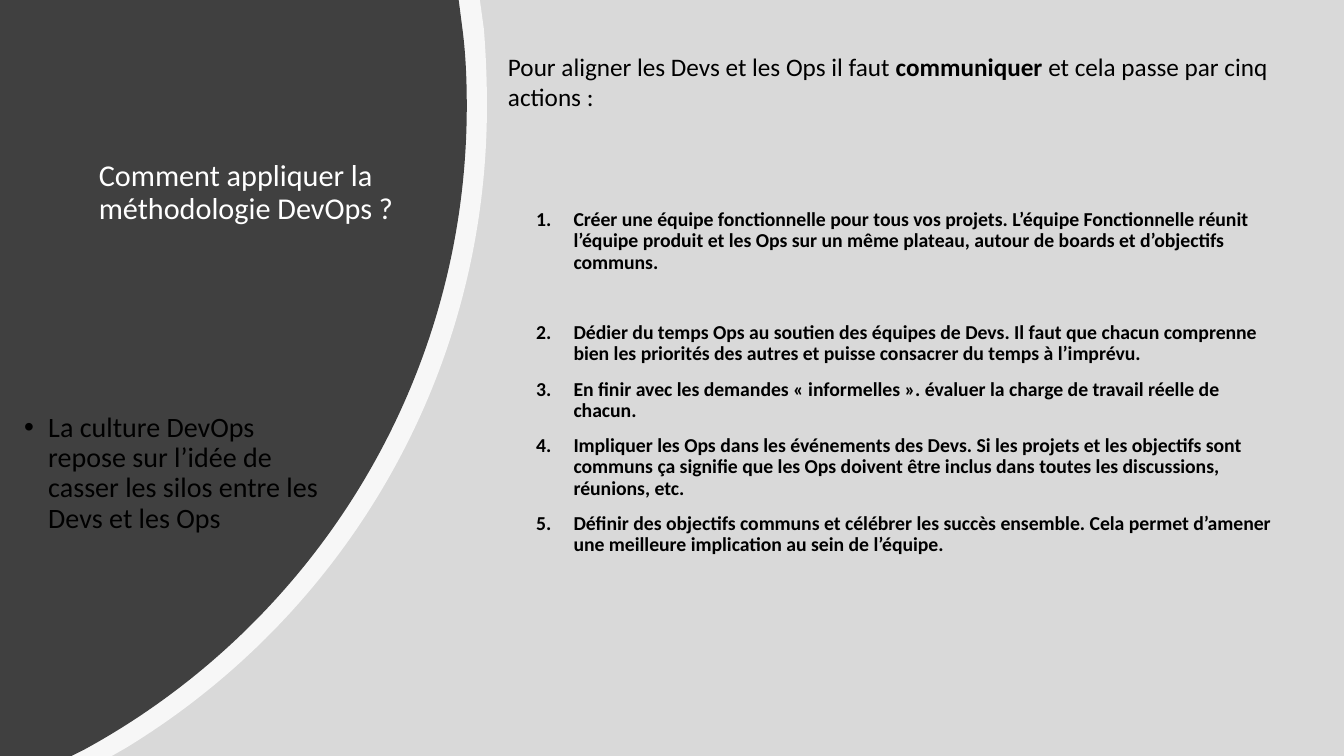
from pptx import Presentation
from pptx.dml.color import RGBColor
from pptx.enum.shapes import MSO_SHAPE as Shape
from pptx.enum.text import MSO_ANCHOR as Anchor, MSO_AUTO_SIZE as Fit, PP_ALIGN as Align
from pptx.oxml.ns import qn
from pptx.util import Inches, Pt
from lxml.etree import SubElement

WHITE = RGBColor(0xFF, 0xFF, 0xFF)
BLACK = RGBColor(0, 0, 0)
GREY = RGBColor(0xD9, 0xD9, 0xD9)
DARK = RGBColor(0x40, 0x40, 0x40)
FONT = "Calibri"
WIDE, HIGH = 13.33, 7.5

TITLE = "Comment appliquer la méthodologie DevOps ?"
CULTURE = "La culture DevOps repose sur l’idée de casser les silos entre les Devs et les Ops"
INTRO = [
    ("Pour aligner les Devs et les Ops il faut\u00a0", False),
    ("communiquer\u00a0", True),
    ("et cela passe par cinq actions :", False),
]
# Text and space before, in points
ACTIONS = [
    ("Créer une équipe fonctionnelle pour tous vos projets. L’équipe Fonctionnelle réunit "
     "l’équipe produit et les Ops sur un même plateau, autour de boards et d’objectifs communs.", 0),
    ("Dédier du temps Ops au soutien des équipes de Devs. Il faut que chacun comprenne bien "
     "les priorités des autres et puisse consacrer du temps à l’imprévu.", 35),
    ("En finir avec les demandes «\u00a0informelles\u00a0». évaluer la charge de travail "
     "réelle de chacun.", 10),
    ("Impliquer les Ops dans les événements des Devs. Si les projets et les objectifs sont "
     "communs ça signifie que les Ops doivent être inclus dans toutes les discussions, "
     "réunions, etc.", 10),
    ("Définir des objectifs communs et célébrer les succès ensemble. Cela permet d’amener "
     "une meilleure implication au sein de l’équipe.", 10),
]
# Right edge of each panel: two straight points, two curves (controls, end), the foot
RIM = [(4.76, 0), (4.8, 0.29),
       (4.82, 0.54), (4.83, 0.8), (4.83, 1.05),
       (4.83, 3.75), (3.4, 6.11), (1.25, 7.42), (1.11, HIGH)]
PANEL = [(4.55, 0), (4.59, 0.31),
         (4.62, 0.55), (4.63, 0.8), (4.63, 1.05),
         (4.63, 3.81), (3.09, 6.21), (0.83, 7.44), (0.71, HIGH)]
CURVES = slice(2, 8)


def paint(shape, color):
    shape.shadow.inherit = False
    shape.fill.solid()
    shape.fill.fore_color.rgb = color
    shape.line.fill.background()


def add_panel(shapes, edge, color):
    """Draw the outline with straight lines, then bend the curved part."""
    pen = shapes.build_freeform(0, 0, scale=1.0)
    points = [(Inches(x), Inches(y)) for x, y in edge + [(0, HIGH)]]
    pen.add_line_segments(points, close=True)
    panel = pen.convert_to_shape()
    lines = list(panel._element.iter(qn("a:lnTo")))[CURVES]
    for i in range(0, len(lines), 3):
        first = lines[i]
        first.tag = qn("a:cubicBezTo")
        for line in lines[i + 1:i + 3]:
            first.append(line[0])
            line.getparent().remove(line)
    paint(panel, color)
    return panel


def place(shape, left, top, width, height):
    shape.left, shape.top = Inches(left), Inches(top)
    shape.width, shape.height = Inches(width), Inches(height)
    frame = shape.text_frame
    frame.word_wrap = True
    frame.auto_size = Fit.NONE
    frame.vertical_anchor = Anchor.TOP
    return frame


def add_box(shapes, *spot):
    return place(shapes.add_textbox(0, 0, 0, 0), *spot)


def style(par, size, color=BLACK, bold=False):
    par.alignment = Align.LEFT
    for run in par.runs:
        font = run.font
        font.name, font.size, font.bold = FONT, Pt(size), bold
        font.color.rgb = color


def add_mark(par, left, hang, tag, **attrs):
    """Give a paragraph a hanging bullet or number."""
    props = par._p.get_or_add_pPr()
    props.set("marL", str(Inches(left)))
    props.set("indent", str(-Inches(hang)))
    SubElement(props, qn("a:buFont"), typeface="Arial" if tag == "a:buChar" else "+mj-lt")
    SubElement(props, qn(tag), **attrs)


def main():
    deck = Presentation()
    deck.slide_width, deck.slide_height = Inches(WIDE), Inches(HIGH)
    slide = deck.slides.add_slide(deck.slide_layouts[5])
    shapes = slide.shapes
    title = shapes.title

    ground = shapes.add_shape(Shape.RECTANGLE, 0, 0, Inches(WIDE), Inches(HIGH))
    paint(ground, GREY)
    rim = add_panel(shapes, RIM, WHITE)
    tint = rim._element.spPr.find(qn("a:solidFill"))[0]
    SubElement(tint, qn("a:alpha"), val="80000")
    add_panel(shapes, PANEL, DARK)

    # The title goes in front of the panels
    ground._element.getparent().append(title._element)
    frame = place(title, 0.88, 1.54, 3.14, 2.36)
    frame.text = TITLE
    frame.paragraphs[0].line_spacing = 0.9
    style(frame.paragraphs[0], 21.6, WHITE)

    frame = add_box(shapes, 4.9, 1.48, 7.84, 4.77)
    frame.margin_top = Inches(0.6)
    frame.text = "\n".join(text for text, _ in ACTIONS)
    for par, (_, gap) in zip(frame.paragraphs, ACTIONS):
        par.line_spacing, par.space_before = 0.9, Pt(gap)
        style(par, 14.1, bold=True)
        add_mark(par, 0.69, 0.37, "a:buAutoNum", type="arabicPeriod")

    frame = add_box(shapes, 0.14, 4.05, 3.2, 4.77)
    frame.text = CULTURE
    par = frame.paragraphs[0]
    par.line_spacing, par.space_after = 0.9, Pt(6)
    style(par, 20)
    add_mark(par, 0.24, 0.24, "a:buChar", char="•")

    frame = add_box(shapes, 4.94, 0.46, 8.5, 0.7)
    frame.auto_size = Fit.SHAPE_TO_FIT_TEXT
    par = frame.paragraphs[0]
    for text, _ in INTRO:
        par.add_run().text = text
    style(par, 18)
    for run, (_, bold) in zip(par.runs, INTRO):
        run.font.bold = bold

    deck.save("out.pptx")


if __name__ == "__main__":
    main()
